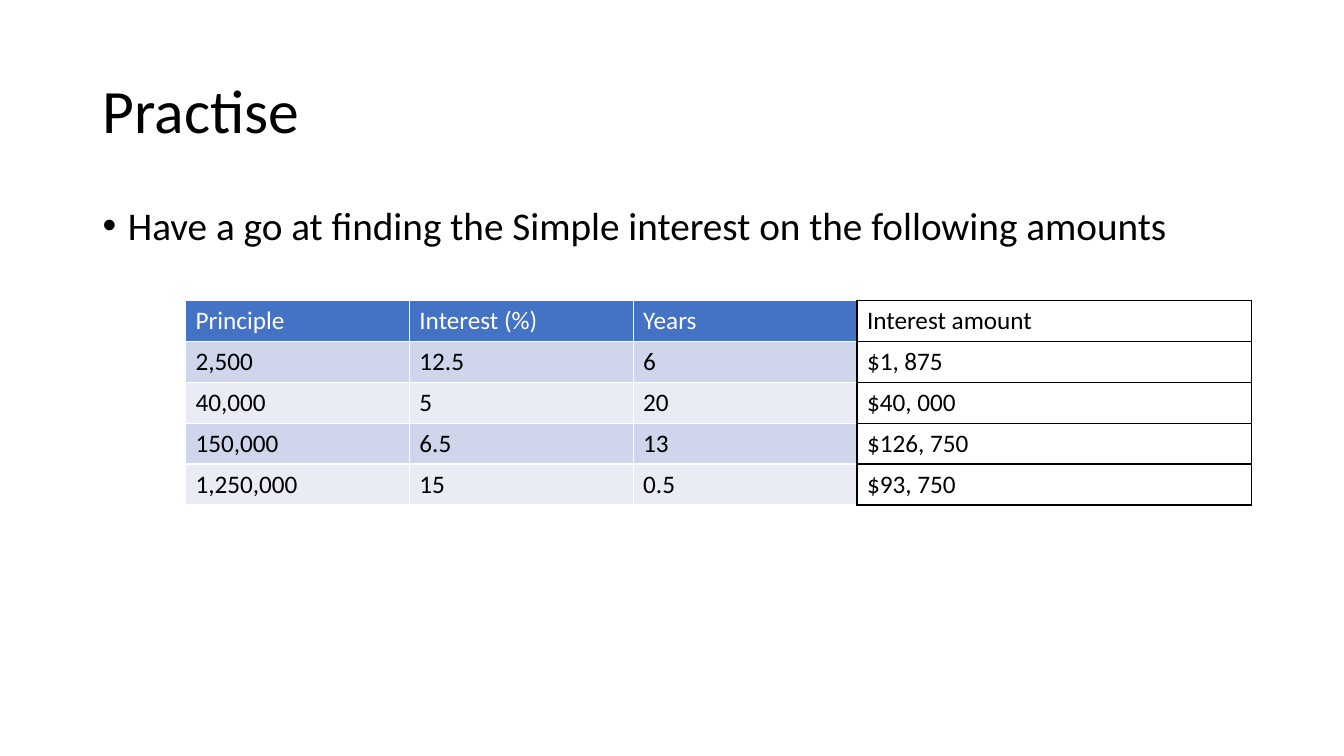
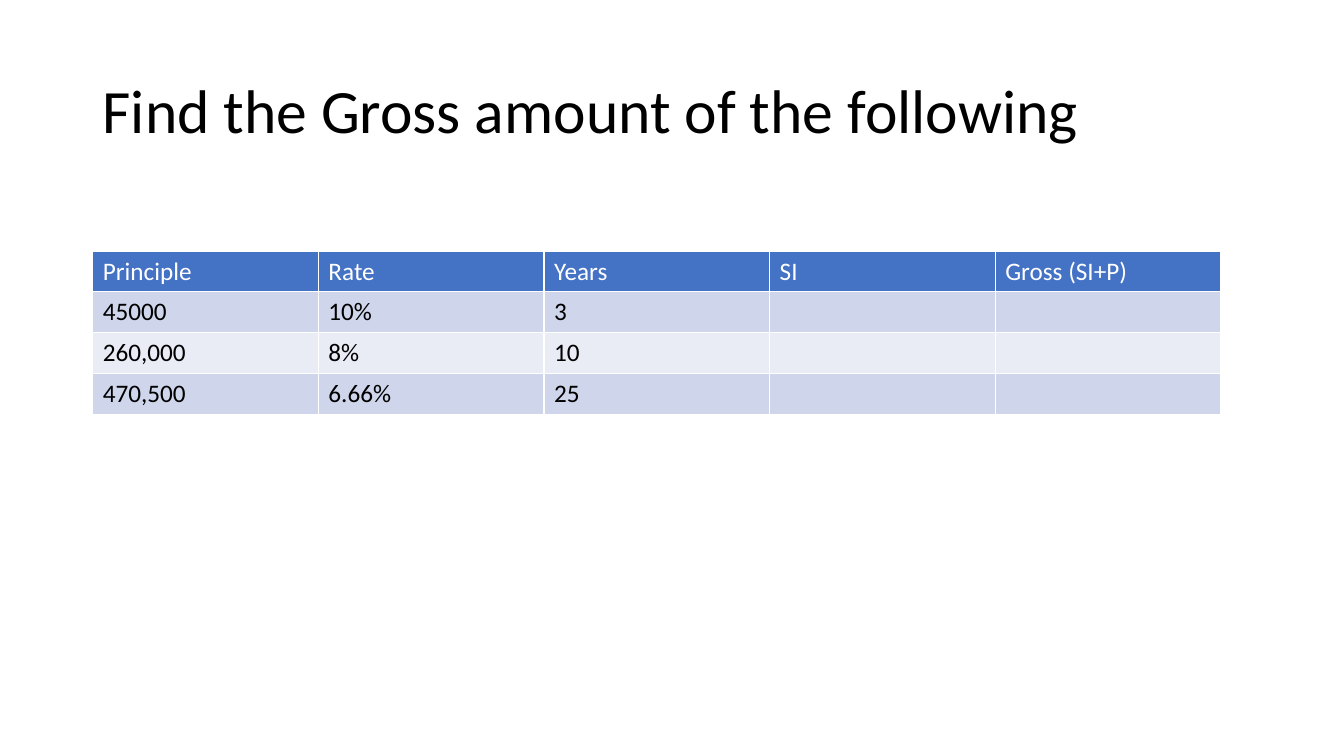
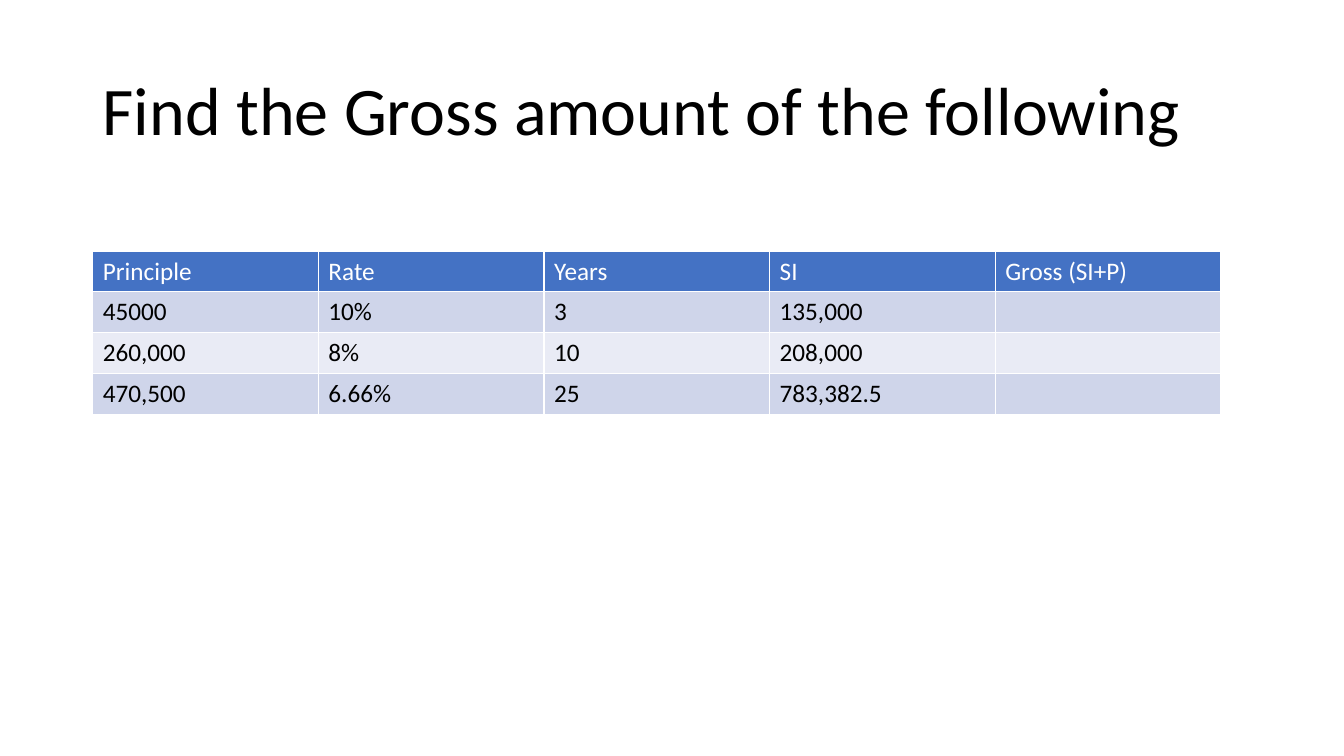
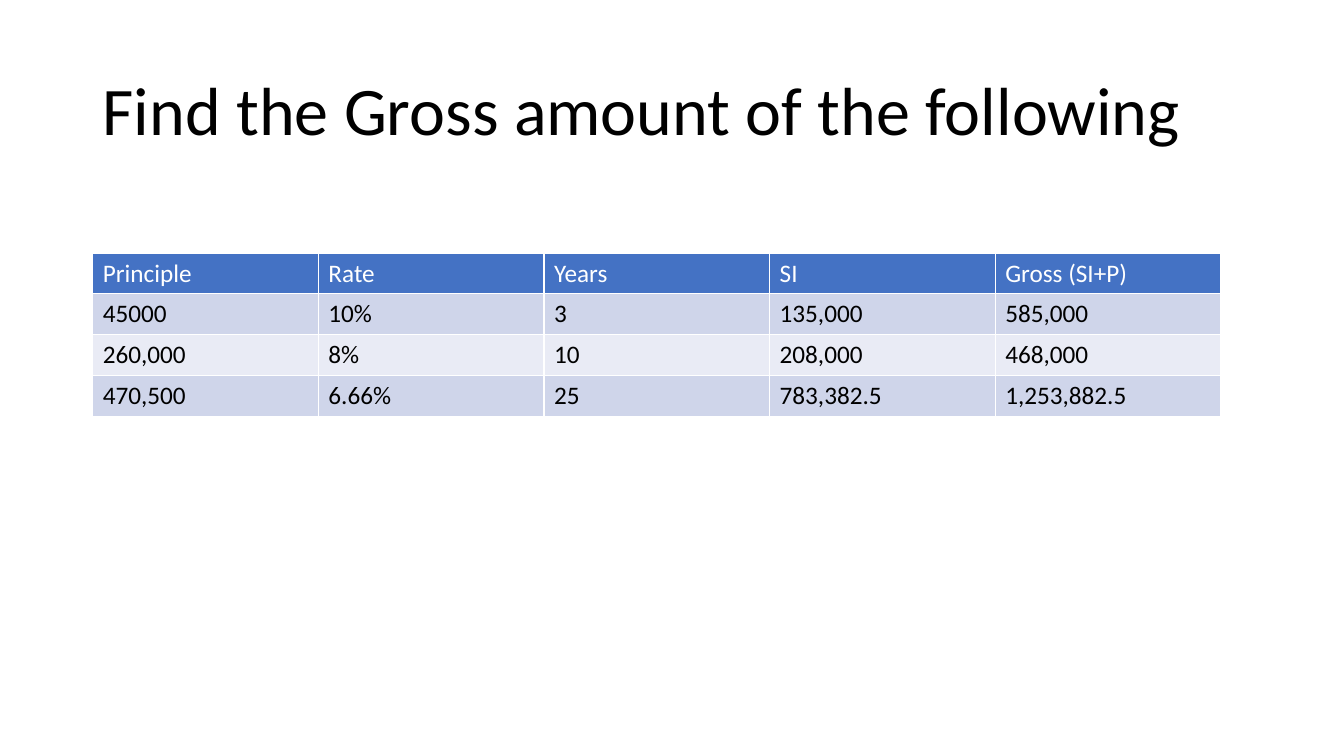
import pptx
import pptx.dml.color
import pptx.enum.text
import pptx.oxml
import pptx.oxml.ns
import pptx.util

Inches = pptx.util.Inches

FONT = "Calibri"
BLACK, WHITE, BLUE = "000000", "FFFFFF", "4472C4"
BANDS = ["CFD5EA", "E9EBF5"]
TITLE_BOX = (0.92, 0.4, 11.5, 1.45)
BODY_BOX = (0.92, 2, 11.5, 4.76)

GROSS_TITLE = "Find the Gross amount of the following"
GROSS_HEADER = ["Principle", "Rate", "Years", "SI", "Gross (SI+P)"]
GROSS_ROWS = [
    ["45000", "10%", "3", "135,000", "585,000"],
    ["260,000", "8%", "10", "208,000", "468,000"],
    ["470,500", "6.66%", "25", "783,382.5", "1,253,882.5"],
]
PRACTICE_ROWS = [
    ["Principle", "Interest (%)", "Years", "Interest amount"],
    ["2,500", "12.5", "6", "$1, 875"],
    ["40,000", "5", "20", "$40, 000"],
    ["150,000", "6.5", "13", "$126, 750"],
    ["1,250,000", "15", "0.5", "$93, 750"],
]
PRACTICE_WIDTHS = [2.22, 2.22, 2.22, 3.91]
GROSS_WIDTHS = [11.19 / 5] * 5


def gross_rows(shown):
    blanks = [""] * (len(GROSS_HEADER) - shown)
    return [GROSS_HEADER] + [row[:shown] + blanks for row in GROSS_ROWS]


SLIDES = [
    dict(title="Practise", title_size=44,
         bullet="Have a go at finding the Simple interest on the following amounts",
         rows=PRACTICE_ROWS, widths=PRACTICE_WIDTHS,
         left=1.84, top=2.98, height=2.03, answer_column=3),
    dict(title=GROSS_TITLE, title_size=44, rows=gross_rows(3),
         widths=GROSS_WIDTHS, left=0.92, top=2.49, height=1.62),
    dict(title=GROSS_TITLE, title_size=48.6, rows=gross_rows(4),
         widths=GROSS_WIDTHS, left=0.92, top=2.49, height=1.62),
    dict(title=GROSS_TITLE, title_size=48.6, rows=gross_rows(5),
         widths=GROSS_WIDTHS, left=0.92, top=2.51, height=1.62),
]


def rgb(color):
    return pptx.dml.color.RGBColor.from_string(color)


def add_xml(parent, xml):
    namespace = pptx.oxml.ns.nsdecls("a")
    tag, rest = xml[1:].split(" ", 1)
    parent.append(pptx.oxml.parse_xml(f"<{tag} {namespace} {rest}"))


def write(frame, text, size=18, color=BLACK, spacing=None, bullet=False):
    paragraph = frame.paragraphs[0]
    if bullet:
        properties = paragraph._p.get_or_add_pPr()
        properties.set("marL", str(Inches(0.25)))
        properties.set("indent", str(Inches(-0.25)))
        add_xml(properties, '<a:buFont typeface="Arial"/>')
        add_xml(properties, '<a:buChar char="•"/>')
    if spacing:
        paragraph.line_spacing = spacing
    target = paragraph
    if text:
        target = paragraph.add_run()
        target.text = text
    target.font.name = FONT
    target.font.size = pptx.util.Pt(size)
    target.font.bold = False
    target.font.color.rgb = rgb(color)


def add_text(slide, box, text, anchor="TOP", **text_format):
    shape = slide.shapes.add_textbox(*map(Inches, box))
    shape.text_frame.word_wrap = True
    shape.text_frame.vertical_anchor = pptx.enum.text.MSO_ANCHOR[anchor]
    write(shape.text_frame, text, spacing=0.9, **text_format)


def set_borders(cell, colors):
    properties = cell._tc.get_or_add_tcPr()
    for side in "LRTB":
        color = colors.get(side, WHITE)
        add_xml(properties, f'<a:ln{side} w="12700"><a:solidFill>'
                            f'<a:srgbClr val="{color}"/></a:solidFill></a:ln{side}>')


def add_table(slide, rows, widths, left, top, height, answer_column=None):
    frame = slide.shapes.add_table(len(rows), len(widths), Inches(left), Inches(top),
                                   Inches(sum(widths)), Inches(height))
    table = frame.table
    for column, width in zip(table.columns, widths):
        column.width = Inches(width)
    for row_index, row in enumerate(rows):
        for column_index, text in enumerate(row):
            cell = table.cell(row_index, column_index)
            fill, color, borders = BANDS[(row_index - 1) % 2], BLACK, {}
            if row_index == 0:
                fill, color = BLUE, WHITE
            if column_index == answer_column:
                fill, color, borders = WHITE, BLACK, dict.fromkeys("LRTB", BLACK)
            elif column_index + 1 == answer_column:
                borders = {"R": BLACK}
            set_borders(cell, borders)
            cell.fill.solid()
            cell.fill.fore_color.rgb = rgb(fill)
            write(cell.text_frame, text, color=color)


def add_slide(presentation, title, title_size, bullet=None, **table):
    slide = presentation.slides.add_slide(presentation.slide_layouts[6])
    add_text(slide, TITLE_BOX, title, anchor="MIDDLE", size=title_size)
    if bullet:
        add_text(slide, BODY_BOX, bullet, size=28, bullet=True)
    add_table(slide, **table)


def main():
    presentation = pptx.Presentation()
    presentation.slide_width = Inches(13.33)
    presentation.slide_height = Inches(7.5)
    for content in SLIDES:
        add_slide(presentation, **content)
    presentation.save("out.pptx")


if __name__ == "__main__":
    main()
